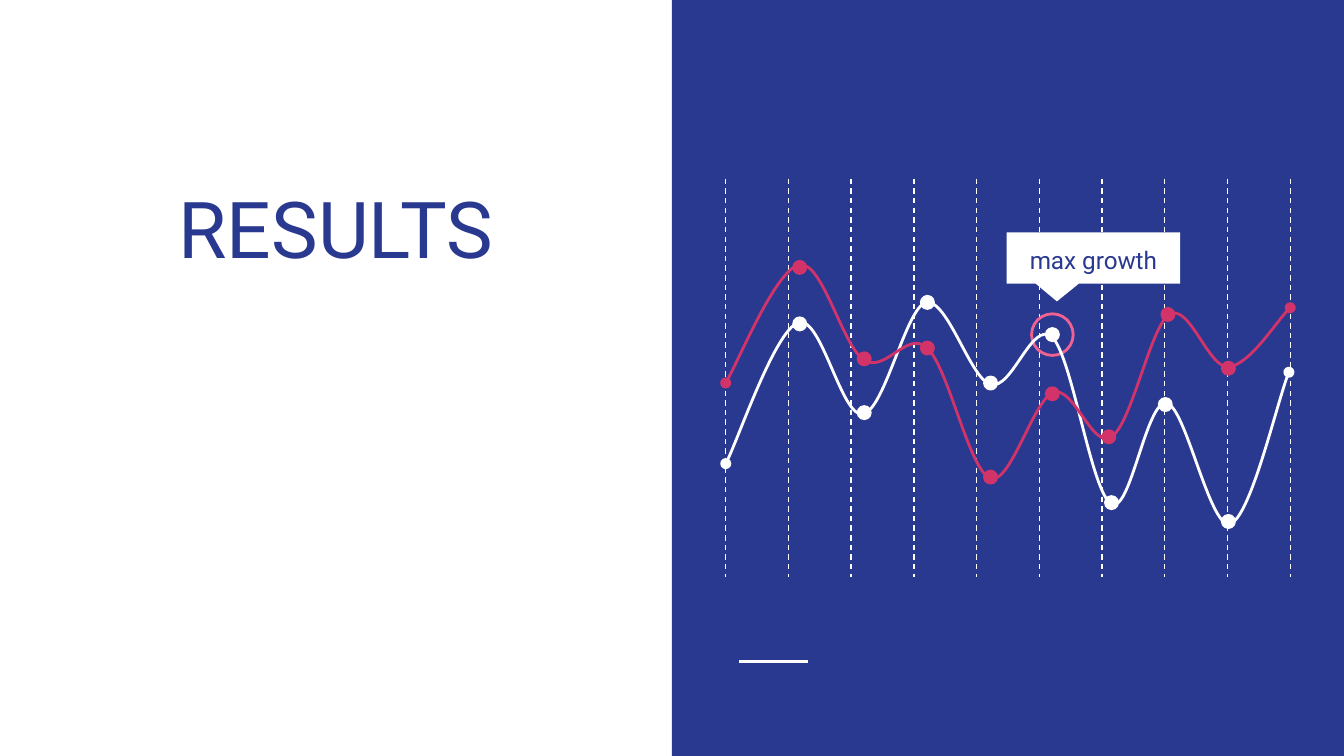
from pptx import Presentation
from pptx.dml.color import RGBColor
from pptx.enum.dml import MSO_LINE
from pptx.enum.shapes import MSO_CONNECTOR, MSO_SHAPE
from pptx.enum.text import MSO_ANCHOR, MSO_AUTO_SIZE, PP_ALIGN
from pptx.oxml.ns import qn
from pptx.util import Inches, Pt
from lxml.etree import SubElement

WIDTH = 10
HEIGHT = WIDTH * 9 / 16
BLUE, WHITE, RED, PINK = "2A3990", "FFFFFF", "D23369", "F06292"
FONT = "Roboto"

TITLE = "RESULTS"
CALLOUT = "max growth"

GRID_LEFT, GRID_RIGHT, GRID_TOP, GRID_BOTTOM = 5.4, 9.6, 1.33, 4.29
GRID_LINES = 10
DOT_SIZE = 0.09
RING_SIZE = 0.31
CALLOUT_BOX = (7.49, 1.73, 1.29, 0.38)

# Each curve is a start point, then two control points and an end point per row.
WHITE_SERIES = {
    "color": WHITE,
    "start": (5.4, 3.45),
    "curve": [
        ((5.49, 3.28), (5.77, 2.46), (5.94, 2.4)),
        ((6.11, 2.34), (6.26, 3.11), (6.42, 3.08)),
        ((6.58, 3.06), (6.74, 2.29), (6.89, 2.25)),
        ((7.05, 2.22), (7.22, 2.82), (7.37, 2.86)),
        ((7.53, 2.91), (7.68, 2.37), (7.83, 2.51)),
        ((7.98, 2.66), (8.12, 3.67), (8.27, 3.75)),
        ((8.41, 3.83), (8.53, 2.97), (8.68, 3)),
        ((8.82, 3.02), (9, 3.93), (9.15, 3.9)),
        ((9.3, 3.86), (9.51, 2.96), (9.59, 2.77)),
    ],
    "dots": [(5.95, 2.41), (6.43, 3.07), (6.9, 2.25), (7.37, 2.85),
             (7.83, 2.49), (8.27, 3.74), (8.67, 3.01), (9.14, 3.88)],
}
RED_SERIES = {
    "color": RED,
    "start": (5.4, 2.85),
    "curve": [
        ((5.49, 2.7), (5.78, 2), (5.95, 1.97)),
        ((6.12, 1.94), (6.27, 2.58), (6.43, 2.68)),
        ((6.59, 2.78), (6.75, 2.45), (6.9, 2.59)),
        ((7.06, 2.74), (7.21, 3.5), (7.37, 3.56)),
        ((7.52, 3.61), (7.69, 2.97), (7.84, 2.92)),
        ((7.99, 2.87), (8.13, 3.35), (8.27, 3.25)),
        ((8.42, 3.16), (8.56, 2.43), (8.7, 2.34)),
        ((8.85, 2.25), (8.99, 2.74), (9.14, 2.73)),
        ((9.29, 2.72), (9.52, 2.36), (9.6, 2.29)),
    ],
    "dots": [(5.95, 1.99), (6.43, 2.67), (6.9, 2.59), (7.37, 3.55),
             (7.83, 2.93), (8.25, 3.25), (8.69, 2.34), (9.14, 2.74)],
}


def rgb(color):
    return RGBColor.from_string(color)


def style(shape, fill=None, line=None):
    shape.shadow.inherit = False
    if fill:
        shape.fill.solid()
        shape.fill.fore_color.rgb = rgb(fill)
    else:
        shape.fill.background()
    if line:
        shape.line.color.rgb = rgb(line)
        shape.line.width = Pt(1.5)
    else:
        shape.line.fill.background()


def add_shape(shapes, kind, box, fill=None, line=None):
    shape = shapes.add_shape(kind, *map(Inches, box))
    style(shape, fill, line)
    return shape


def add_circle(shapes, center, size, fill, line):
    x, y = center
    box = (x - size / 2, y - size / 2, size, size)
    return add_shape(shapes, MSO_SHAPE.OVAL, box, fill, line)


def add_line(shapes, start, end, width, dash=None):
    line = shapes.add_connector(MSO_CONNECTOR.STRAIGHT, *map(Inches, start + end))
    line.line.color.rgb = rgb(WHITE)
    line.line.width = Pt(width)
    if dash:
        line.line.dash_style = dash
    SubElement(line._element.spPr, qn("a:effectLst"))


def add_curve(shapes, start, curve, color):
    """Draw an open Bezier curve with round dots at both ends."""
    # The builder rounds to whole units, so points are given in EMU.
    builder = shapes.build_freeform(*map(Inches, start))
    points = [tuple(map(Inches, point)) for row in curve for point in row]
    builder.add_line_segments(points, close=False)
    shape = builder.convert_to_shape()
    style(shape, line=color)
    for end in ("a:headEnd", "a:tailEnd"):
        SubElement(shape.line._get_or_add_ln(), qn(end), type="oval")
    # Every three straight segments become one cubic segment.
    outline = shape._element.find(".//" + qn("a:path"))
    segments = outline.findall(qn("a:lnTo"))
    for first in range(0, len(segments), 3):
        cubic = SubElement(outline, qn("a:cubicBezTo"))
        for segment in segments[first:first + 3]:
            cubic.append(segment[0])
            outline.remove(segment)


def add_series(shapes, series):
    group = shapes.add_group_shape().shapes
    color = series["color"]
    add_curve(group, series["start"], series["curve"], color)
    for center in series["dots"]:
        add_circle(group, center, DOT_SIZE, color, color)


def set_text(placeholder, box, text, size, anchor, line_spacing=1.0):
    placeholder.left, placeholder.top, placeholder.width, placeholder.height = map(Inches, box)
    frame = placeholder.text_frame
    frame.text = text
    frame.word_wrap = True
    frame.auto_size = MSO_AUTO_SIZE.NONE
    frame.vertical_anchor = anchor
    frame.margin_left = frame.margin_right = Inches(0.1)
    frame.margin_top = frame.margin_bottom = Inches(0.1)
    paragraph = frame.paragraphs[0]
    paragraph.alignment = PP_ALIGN.CENTER
    paragraph.line_spacing = line_spacing
    paragraph.space_before = Pt(0)
    font = paragraph.font
    font.name, font.size, font.bold = FONT, Pt(size), False
    font.color.rgb = rgb(BLUE)


def main():
    presentation = Presentation()
    presentation.slide_width, presentation.slide_height = Inches(WIDTH), Inches(HEIGHT)
    slide = presentation.slides.add_slide(presentation.slide_layouts.get_by_name("Section Header"))
    shapes = slide.shapes
    title, body = slide.placeholders

    set_text(title, (0.29, 1.24, 4.42, 1.71), TITLE, 42, MSO_ANCHOR.TOP)
    add_shape(shapes, MSO_SHAPE.RECTANGLE, (WIDTH / 2, 0, WIDTH / 2, HEIGHT), BLUE)
    add_line(shapes, (5.5, 4.92), (6.01, 4.92), 1.5)

    grid = shapes.add_group_shape().shapes
    step = (GRID_RIGHT - GRID_LEFT) / (GRID_LINES - 1)
    for column in range(GRID_LINES):
        x = GRID_LEFT + column * step
        add_line(grid, (x, GRID_TOP), (x, GRID_BOTTOM), 0.75, MSO_LINE.DASH)

    peak = WHITE_SERIES["dots"][4]
    add_circle(shapes, peak, RING_SIZE, None, PINK)
    add_series(shapes, WHITE_SERIES)
    callout = add_shape(shapes, MSO_SHAPE.ROUNDED_RECTANGULAR_CALLOUT, CALLOUT_BOX, WHITE)
    for index, value in enumerate((-0.21, 0.85, 0)):
        callout.adjustments[index] = value
    add_series(shapes, RED_SERIES)

    set_text(body, (7.49, 1.76, 1.29, 0.31), CALLOUT, 13, MSO_ANCHOR.MIDDLE, 1.15)
    shapes._spTree.append(body._element)  # in front of the callout
    presentation.save("out.pptx")


if __name__ == "__main__":
    main()
